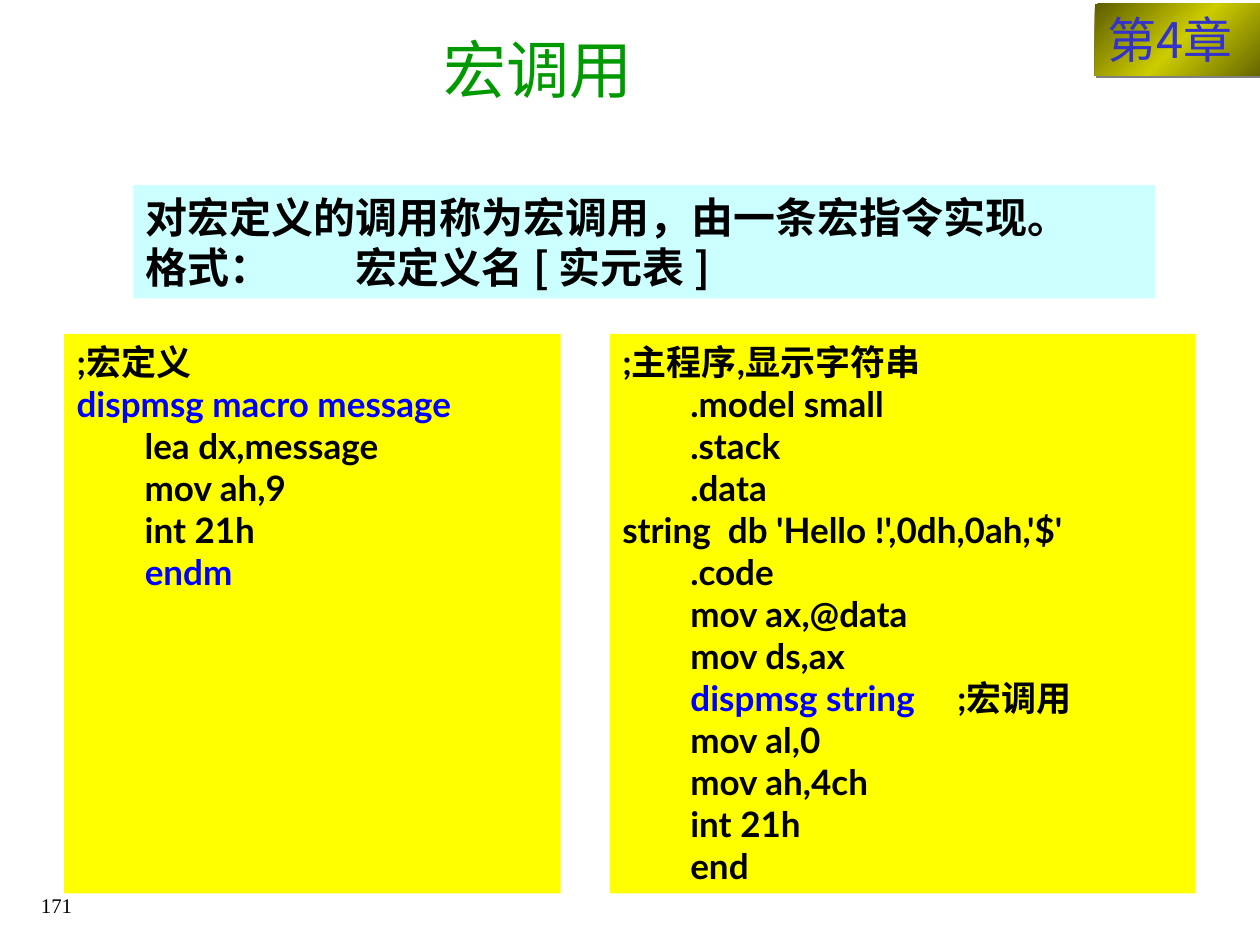
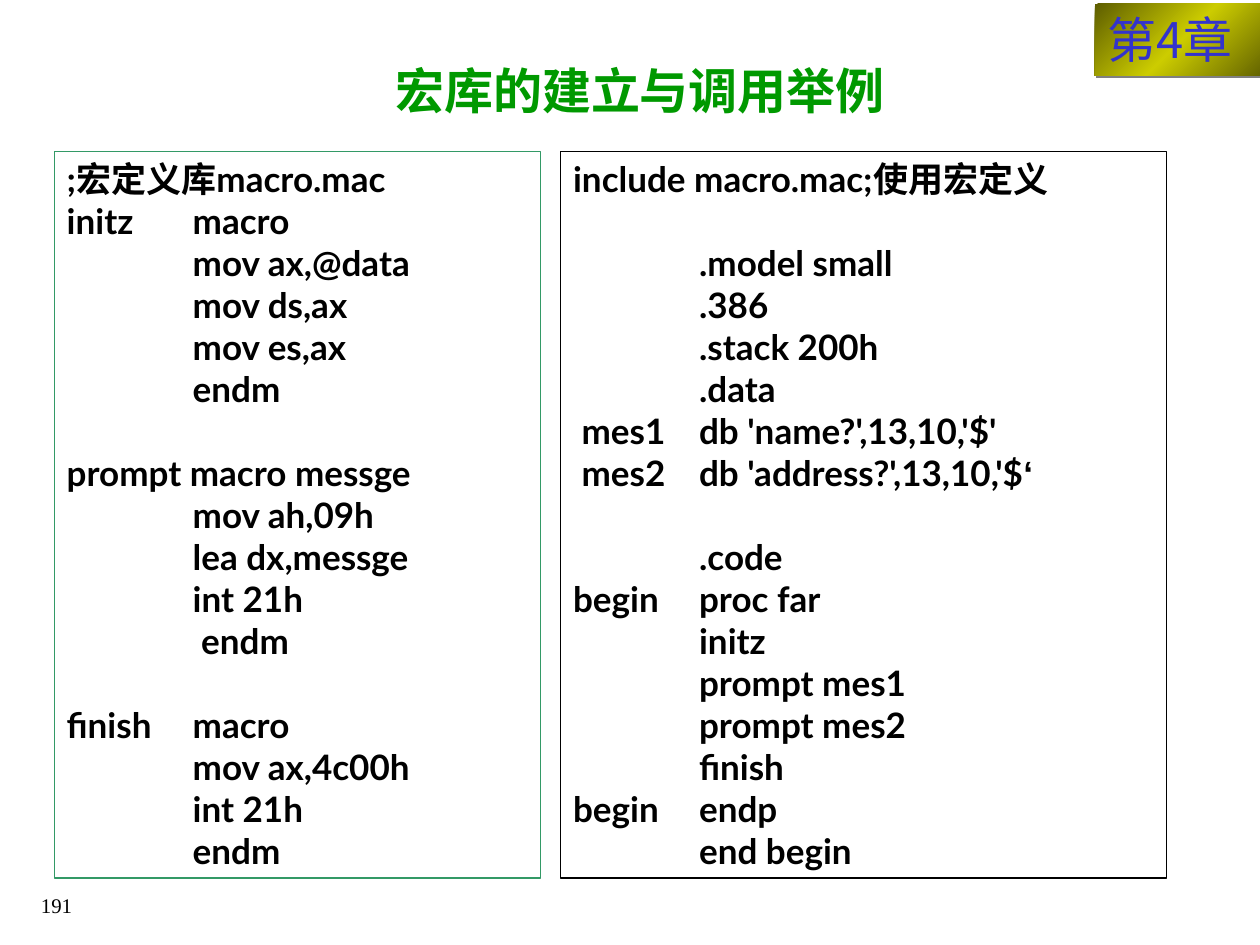
import copy
import dataclasses
import typing

import lxml.etree
import pptx
import pptx.dml.color
import pptx.enum.shapes
import pptx.enum.text
import pptx.oxml.ns
import pptx.util

Pt = pptx.util.Pt
qn = pptx.oxml.ns.qn
ALIGN = pptx.enum.text.PP_ALIGN
ANCHOR = pptx.enum.text.MSO_ANCHOR

BLACK = "000000"
GREEN = "009900"
BLUE = "0000FF"
YELLOW = "FFFF00"
BADGE_GRADIENT = ((0, "5E5E00"), (0.5, "CCCC00"), (1, "5E5E00"))


class Style(typing.NamedTuple):
    font: str
    size: float
    color: str = BLACK
    bold: bool = False


CODE = Style("Lato", 20, bold=True)
KEYWORD = CODE._replace(color=BLUE)
QUOTE = CODE._replace(font="Arial")
BIG_TITLE = Style("Lato", 36, GREEN)
SMALL_TITLE = Style("Lato", 28, GREEN, True)
STATEMENT = Style("Noto Sans CJK SC", 24, bold=True)
BADGE = Style("Noto Sans CJK JP", 28, "3333CC")
PAGE_NUMBER = Style("Times New Roman", 11.9)
CODE_LINE_HEIGHT = 24


@dataclasses.dataclass
class Panel:
    """A box of lines; an empty line in the text widens the gap above the next."""
    left: float
    top: float
    width: float
    height: float
    text: str
    style: Style = CODE
    fill: str | None = None
    line: str | None = None
    tab: float = 72
    accents: dict[str, Style] = dataclasses.field(default_factory=dict)
    align: ALIGN = ALIGN.LEFT
    anchor: ANCHOR = ANCHOR.TOP
    spacing: float | Pt | None = None
    wrap: bool = True


def rgb(color: str) -> pptx.dml.color.RGBColor:
    return pptx.dml.color.RGBColor.from_string(color)


def format_span(span, style: Style) -> None:
    span.font.name = style.font
    span.font.size = Pt(style.size)
    span.font.bold = style.bold
    span.font.color.rgb = rgb(style.color)
    east_asian = lxml.etree.SubElement(span.font._element, qn("a:ea"))
    east_asian.set("typeface", style.font)


def add_tab_stop(para, position: float) -> None:
    stops = lxml.etree.SubElement(para._p.get_or_add_pPr(), qn("a:tabLst"))
    lxml.etree.SubElement(stops, qn("a:tab"), pos=str(Pt(position)), algn="l")


def write_line(para, line: str, panel: Panel) -> None:
    """Write one line, giving the first accented phrase in it its own style."""
    accent = next((phrase for phrase in panel.accents if phrase in line), None)
    pieces = line.partition(accent) if accent else (line,)
    for piece in filter(None, pieces):
        span = para.add_run()
        span.text = piece
        format_span(span, panel.accents.get(piece, panel.style))


def draw_panel(page, panel: Panel):
    place = [Pt(v) for v in (panel.left, panel.top, panel.width, panel.height)]
    box = page.shapes.add_shape(pptx.enum.shapes.MSO_SHAPE.RECTANGLE, *place)
    box.shadow.inherit = False
    if panel.fill:
        box.fill.solid()
        box.fill.fore_color.rgb = rgb(panel.fill)
    else:
        box.fill.background()
    if panel.line:
        box.line.color.rgb = rgb(panel.line)
        box.line.width = Pt(0.75)
    else:
        box.line.fill.background()

    frame = box.text_frame
    frame.word_wrap = panel.wrap
    frame.vertical_anchor = panel.anchor
    frame.margin_left = frame.margin_right = Pt(7.2)
    frame.margin_top = frame.margin_bottom = Pt(3.6)
    para, gap = frame.paragraphs[0], 0
    for number, line in enumerate(panel.text.split("\n")):
        if not line:
            gap = CODE_LINE_HEIGHT
            continue
        if number:
            para = frame.add_paragraph()
        para.alignment = panel.align
        if panel.spacing:
            para.line_spacing = panel.spacing
        if gap:
            para.space_before, gap = Pt(gap), 0
        if "\t" in line:
            add_tab_stop(para, panel.tab)
        write_line(para, line, panel)
    return box


def draw_badge(page) -> None:
    """Chapter mark in the top right corner."""
    box = draw_panel(page, Panel(625.7, 2.2, 99.4, 41, "第4章", BADGE,
                                 spacing=Pt(33.6), wrap=False))
    box.fill.gradient()
    stop_list = box._element.spPr.find(".//" + qn("a:gsLst"))
    stop_list.append(copy.deepcopy(stop_list[-1]))
    for stop, (position, color) in zip(box.fill.gradient_stops, BADGE_GRADIENT):
        stop.position = position
        stop.color.rgb = rgb(color)
    box.fill.gradient_angle = 315

    effects = box._element.spPr.find(qn("a:effectLst"))
    shadow = lxml.etree.SubElement(effects, qn("a:outerShdw"), blurRad="0",
                                   dist=str(Pt(1.4)), dir="2700000")
    lxml.etree.SubElement(shadow, qn("a:srgbClr"), val="808080")


def add_page(deck, number: int, panels: list[Panel]) -> None:
    page = deck.slides.add_slide(deck.slide_layouts[6])
    draw_badge(page)
    draw_panel(page, Panel(2.9, 508.3, 45.4, 23, str(number), PAGE_NUMBER,
                           align=ALIGN.RIGHT, spacing=0.9))
    for panel in panels:
        draw_panel(page, panel)


MACRO_DEFINITION = """;宏定义
dispmsg macro message
        lea dx,message
        mov ah,9
        int 21h
        endm"""

MAIN_PROGRAM = """;主程序,显示字符串
        .model small
        .stack
        .data
string  db 'Hello !',0dh,0ah,'$'
        .code
        mov ax,@data
        mov ds,ax
        dispmsg string\t;宏调用
        mov al,0
        mov ah,4ch
        int 21h
        end"""

MACRO_LIBRARY = """;宏定义库macro.mac
initz\tmacro
\tmov ax,@data
\tmov ds,ax
\tmov es,ax
\tendm

prompt macro messge
\tmov ah,09h
\tlea dx,messge
\tint 21h
\t endm

finish\tmacro
\tmov ax,4c00h
\tint 21h
\tendm"""

LIBRARY_USER = """include macro.mac;使用宏定义

\t.model small
\t.386
\t.stack 200h
\t.data
 mes1\tdb 'name?',13,10,'$'
 mes2\tdb 'address?',13,10,'$‘

\t.code
begin\tproc far
\tinitz
\tprompt mes1
\tprompt mes2
\tfinish
begin\tendp
\tend begin"""


def main() -> None:
    deck = pptx.Presentation()
    deck.slide_width, deck.slide_height = Pt(720), Pt(540)

    # Calling a macro
    add_page(deck, 171, [
        Panel(246.2, 5.8, 473.8, 66.2, "宏调用", BIG_TITLE, anchor=ANCHOR.MIDDLE),
        Panel(76.3, 105.8, 584, 64.8,
              "对宏定义的调用称为宏调用，由一条宏指令实现。\n格式：\t宏定义名 [ 实元表 ]",
              STATEMENT, fill="CCFFFF", tab=120, spacing=Pt(28.8)),
        Panel(348.5, 190.8, 334.8, 319.7, MAIN_PROGRAM, fill=YELLOW, tab=191.4,
              accents={"dispmsg string": KEYWORD}),
        Panel(36.7, 190.8, 283.7, 319.7, MACRO_DEFINITION, fill=YELLOW,
              accents={"dispmsg macro message": KEYWORD, "endm": KEYWORD}),
    ])

    # Building and using a macro library
    add_page(deck, 191, [
        Panel(31, 86.4, 278, 415.4, MACRO_LIBRARY, line="339966"),
        Panel(320.4, 86.4, 346.3, 415.4, LIBRARY_USER, line=BLACK,
              accents={"‘": QUOTE}),
        Panel(133.2, 31, 465.1, 41, "宏库的建立与调用举例", SMALL_TITLE,
              align=ALIGN.CENTER),
    ])
    deck.save("out.pptx")


if __name__ == "__main__":
    main()
